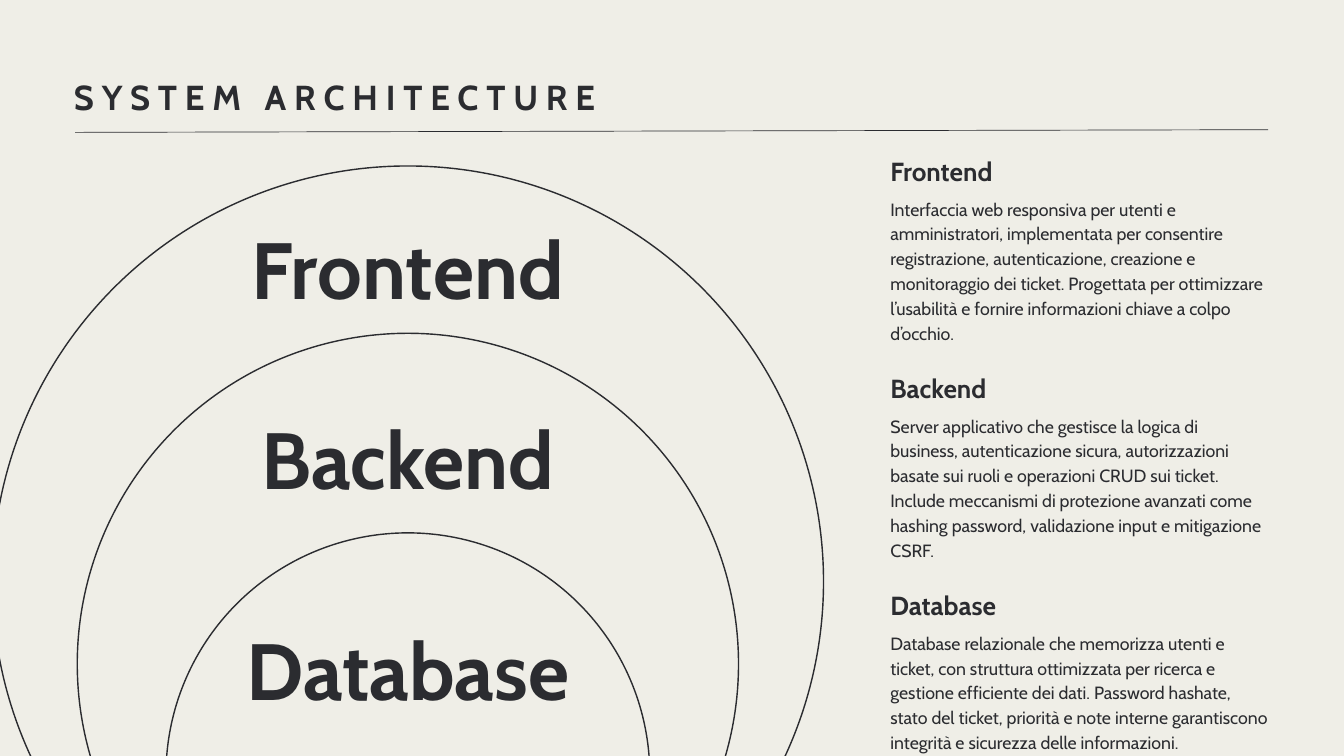
from pptx import Presentation
from pptx.dml.color import RGBColor
from pptx.enum.shapes import MSO_CONNECTOR, MSO_SHAPE
from pptx.enum.text import PP_ALIGN
from pptx.oxml.ns import qn
from pptx.util import Inches, Pt
from lxml import etree

# Content
TITLE = "SYSTEM ARCHITECTURE"
# name, circle top, circle diameter, label top, label width, description
LAYERS = [
    ("Frontend", 2.47, 12.37, 2.8, 5.6,
     "Interfaccia web responsiva per utenti e amministratori, implementata per "
     "consentire registrazione, autenticazione, creazione e monitoraggio dei "
     "ticket. Progettata per ottimizzare l’usabilità e fornire informazioni "
     "chiave a colpo d’occhio."),
    ("Backend", 4.96, 9.84, 5.62, 5.6,
     "Server applicativo che gestisce la logica di business, autenticazione "
     "sicura, autorizzazioni basate sui ruoli e operazioni CRUD sui ticket. "
     "Include meccanismi di protezione avanzati come hashing password, "
     "validazione input e mitigazione CSRF."),
    ("Database", 7.93, 7.2, 8.76, 6.4,
     "Database relazionale che memorizza utenti e ticket, con struttura "
     "ottimizzata per ricerca e gestione efficiente dei dati. Password hashate, "
     "stato del ticket, priorità e note interne garantiscono integrità e "
     "sicurezza delle informazioni."),
]

# Colours, type sizes (with line spacing) and line widths
THEME = {
    "paper": RGBColor(0xEF, 0xEE, 0xE7),
    "ink": RGBColor(0x2B, 0x2C, 0x30),
    "font": "Cabin",
    "title": {"size": 37.1, "leading": 52, "bold": True, "tracking": 8.4},
    "label": {"size": 85.4, "leading": 136.6, "bold": True, "align": PP_ALIGN.CENTER},
    "heading": {"size": 28, "leading": 39.2, "bold": True},
    "body": {"size": 19, "leading": 26.6, "bold": False},
    "rule": 0.75,
    "ring": 1.5,
}

# Layout
CENTER_X = 6.07
COLUMN_X, COLUMN_W = 13.25, 5.63
COLUMN_TOP, COLUMN_STEP, BODY_OFFSET = 2.24, 3.23, 0.66


def add_text(s, text, style, x, y, w, h):
    fmt = THEME[style]
    tf = s.shapes.add_textbox(Inches(x), Inches(y), Inches(w), Inches(h)).text_frame
    frame = {"word_wrap": True, "margin_left": 0, "margin_right": 0,
             "margin_top": 0, "margin_bottom": 0}
    for name, value in frame.items():
        setattr(tf, name, value)
    p = tf.paragraphs[0]
    p.alignment = fmt.get("align", PP_ALIGN.LEFT)
    p.line_spacing = Pt(fmt["leading"])
    r = p.add_run()
    r.text = text
    font = {"name": THEME["font"], "size": Pt(fmt["size"]), "bold": fmt["bold"]}
    for name, value in font.items():
        setattr(r.font, name, value)
    r.font.color.rgb = THEME["ink"]
    if "tracking" in fmt:
        r._r.get_or_add_rPr().set("spc", str(round(fmt["tracking"] * 100)))


def set_line(sp, width):
    sp.line.color.rgb = THEME["ink"]
    sp.line.width = Pt(width)


def add_rule(s, x1, y1, x2, y2):
    sp = s.shapes.add_connector(MSO_CONNECTOR.STRAIGHT, Inches(x1), Inches(y1),
                                Inches(x2), Inches(y2))
    set_line(sp, THEME["rule"])
    etree.SubElement(sp._element.spPr, qn("a:effectLst"))


def add_ring(s, top, diameter):
    sp = s.shapes.add_shape(MSO_SHAPE.OVAL, Inches(CENTER_X - diameter / 2),
                            Inches(top), Inches(diameter), Inches(diameter))
    sp.shadow.inherit = False
    sp.fill.background()
    set_line(sp, THEME["ring"])


def main():
    prs = Presentation()
    prs.slide_width, prs.slide_height = Inches(20), Inches(11.25)
    s = prs.slides.add_slide(prs.slide_layouts[6])
    s.background.fill.solid()
    s.background.fill.fore_color.rgb = THEME["paper"]

    # Title and rule
    add_rule(s, 1.12, 1.97, 18.87, 1.93)
    add_text(s, TITLE, "title", 1.1, 1.03, 17.75, 0.71)

    # Nested circles with their labels
    for name, top, diameter, label_y, label_w, _ in LAYERS:
        add_ring(s, top, diameter)
        add_text(s, name, "label", CENTER_X - label_w / 2, label_y, label_w, 1.77)

    # Description column
    for i, (name, *_, description) in enumerate(LAYERS):
        y = COLUMN_TOP + i * COLUMN_STEP
        add_text(s, name, "heading", COLUMN_X, y, COLUMN_W, 0.52)
        add_text(s, description, "body", COLUMN_X, y + BODY_OFFSET, COLUMN_W, 2.17)

    prs.save("out.pptx")


if __name__ == "__main__":
    main()
